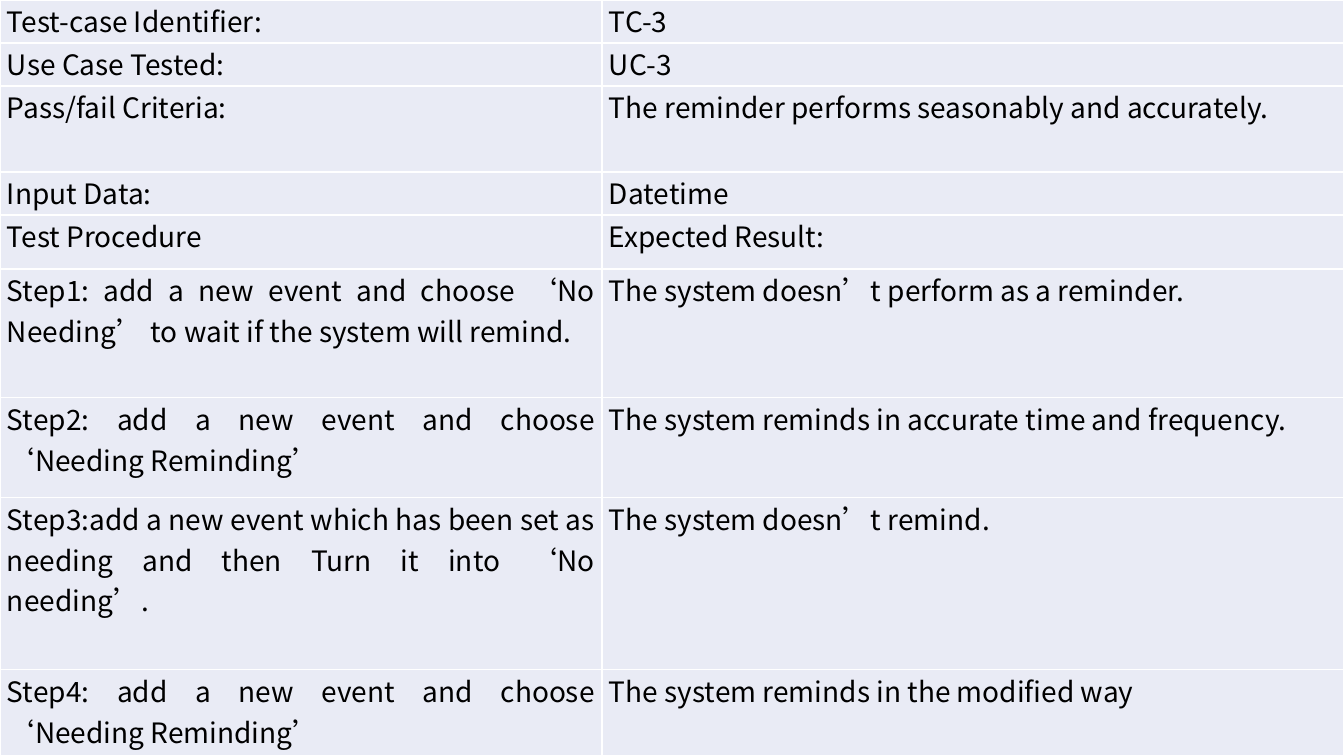
from lxml import etree
from pptx import Presentation
from pptx.dml.color import RGBColor
from pptx.enum import text
from pptx.oxml import ns
from pptx.util import Emu, Pt

# (row height in px, left cell, right cell)
ROWS = [
    (43, "Test-case Identifier:", "TC-3"),
    (43, "Use Case Tested:", "UC-3"),
    (86, "Pass/fail Criteria:", "The reminder performs seasonably and accurately."),
    (43, "Input Data:", "Datetime"),
    (54, "Test Procedure", "Expected Result:"),
    (129, "Step1: add a new event and choose ‘No Needing’ to wait if the system will remind.",
     "The system doesn’t perform as a reminder."),
    (100, "Step2: add a new event and choose ‘Needing Reminding’",
     "The system reminds in accurate time and frequency."),
    (172, "Step3:add a new event which has been set as needing and then Turn it into ‘No needing’.",
     "The system doesn’t remind."),
    (86, "Step4: add a new event and choose ‘Needing Reminding’",
     "The system reminds in the modified way"),
]
COLUMN_WIDTHS = [602, 742]
WIDTH, HEIGHT = 1344, 756
CELL_MARGIN = 7
FONT, SIZE = "Noto Sans CJK SC", 20
INK, FILL, BORDER = "000000", "E9EBF5", "FFFFFF"


def px(n):
    return Emu(round(n * 914400 / 100.8))


def color(value):
    return RGBColor.from_string(value)


def add_borders(cell):
    tc_pr = cell._tc.get_or_add_tcPr()
    for side in ("a:lnL", "a:lnR", "a:lnT", "a:lnB"):
        line = etree.SubElement(tc_pr, ns.qn(side), w=str(Pt(1)))
        fill = etree.SubElement(line, ns.qn("a:solidFill"))
        etree.SubElement(fill, ns.qn("a:srgbClr"), val=BORDER)


def fill_cell(cell, content):
    add_borders(cell)
    cell.fill.solid()
    cell.fill.fore_color.rgb = color(FILL)
    cell.margin_left = cell.margin_right = px(CELL_MARGIN)
    cell.margin_top = cell.margin_bottom = 0
    p = cell.text_frame.paragraphs[0]
    p.text = content
    p.alignment = text.PP_ALIGN.JUSTIFY
    font = p.runs[0].font
    font.name, font.size = FONT, Pt(SIZE)
    font.color.rgb = color(INK)


def main():
    prs = Presentation()
    prs.slide_width, prs.slide_height = px(WIDTH), px(HEIGHT)
    s = prs.slides.add_slide(prs.slide_layouts[6])
    table = s.shapes.add_table(len(ROWS), len(COLUMN_WIDTHS), 0, 0, px(WIDTH), px(HEIGHT)).table
    table.first_row = table.horz_banding = False
    for column, width in zip(table.columns, COLUMN_WIDTHS):
        column.width = px(width)
    for row, (height, *contents) in zip(table.rows, ROWS):
        row.height = px(height)
        for cell, content in zip(row.cells, contents):
            fill_cell(cell, content)
    prs.save("out.pptx")


if __name__ == "__main__":
    main()
